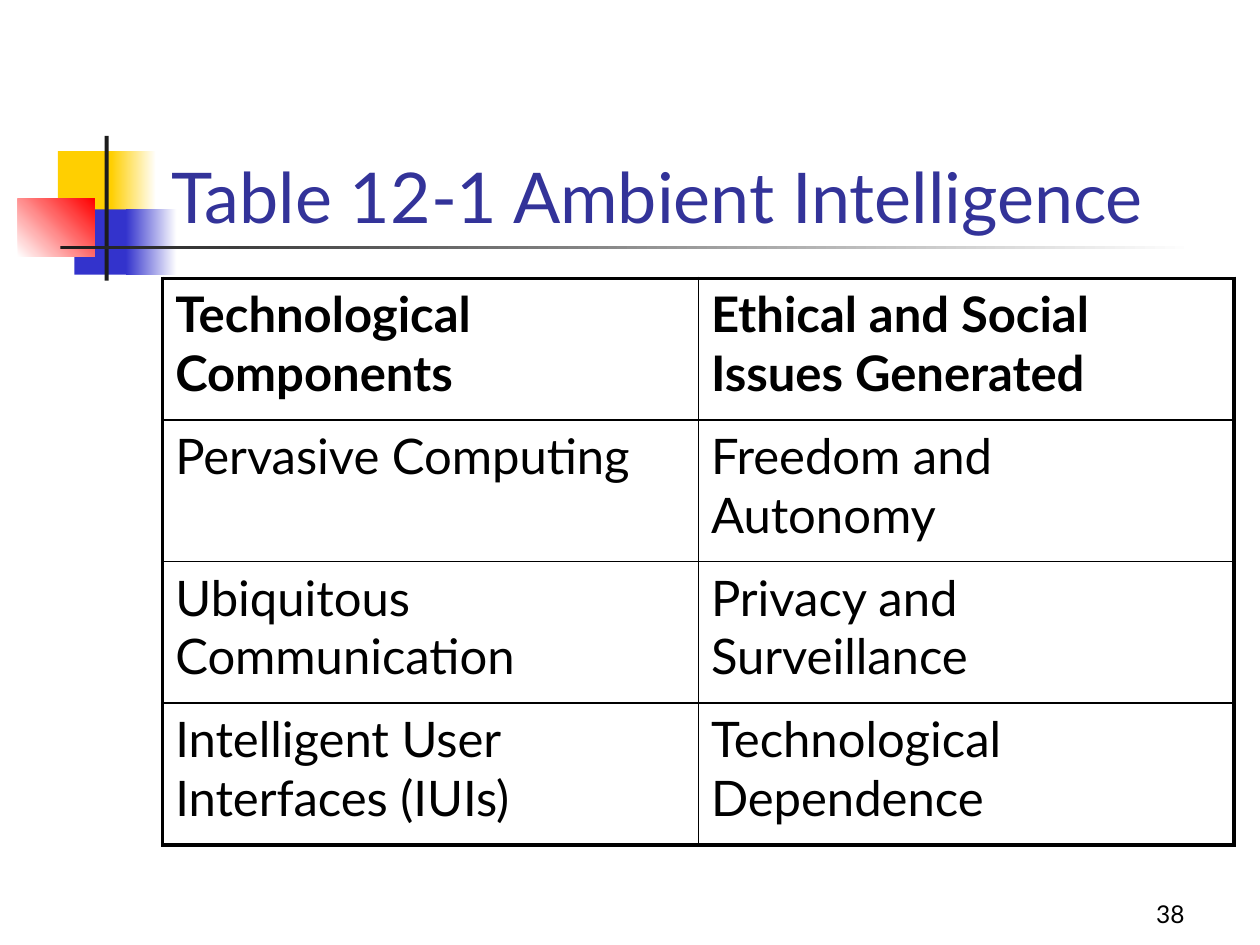
from lxml import etree
from pptx import Presentation
from pptx.dml.color import RGBColor
from pptx.enum.shapes import MSO_SHAPE
from pptx.enum.text import MSO_ANCHOR, PP_ALIGN
from pptx.oxml.ns import qn
from pptx.util import Cm, Pt

RECTANGLE = MSO_SHAPE.RECTANGLE
BOTTOM = MSO_ANCHOR.BOTTOM
LEFT, RIGHT = PP_ALIGN.LEFT, PP_ALIGN.RIGHT
TITLE_ONLY_LAYOUT = 5

WHITE = RGBColor(0xFF, 0xFF, 0xFF)
BLACK = RGBColor(0x00, 0x00, 0x00)
CHARCOAL = RGBColor(0x1C, 0x1C, 0x1C)
YELLOW = RGBColor(0xFF, 0xCF, 0x01)
BLUE = RGBColor(0x33, 0x33, 0xCC)
RED = RGBColor(0xFF, 0x00, 0x00)
TITLE_BLUE = RGBColor(0x33, 0x33, 0x99)

FONT = "Lato"
OUTER_BORDER, INNER_BORDER = Pt(2.25), Pt(1)

ROWS = [
    ("Technological Components", "Ethical and Social Issues Generated"),
    ("Pervasive Computing", "Freedom and Autonomy"),
    ("Ubiquitous Communication", "Privacy and Surveillance"),
    ("Intelligent User Interfaces (IUIs)", "Technological Dependence"),
]


def write_text(text_frame, text, size, color=BLACK, bold=False, align=LEFT):
    text_frame.word_wrap = True
    paragraph = text_frame.paragraphs[0]
    paragraph.alignment = align
    run = paragraph.add_run()
    run.text = text
    run.font.name = FONT
    run.font.size = Pt(size)
    run.font.bold = bold
    run.font.color.rgb = color


def add_block(slide, left, top, width, height, start, end=None, angle=0):
    """Add a borderless rectangle, solid or fading from start to end."""
    shape = slide.shapes.add_shape(RECTANGLE, left, top, width, height)
    shape.shadow.inherit = False
    shape.line.fill.background()
    if end is None:
        shape.fill.solid()
        shape.fill.fore_color.rgb = start
        return
    shape.fill.gradient()
    shape.fill.gradient_angle = angle
    for stop, color in zip(shape.fill.gradient_stops, (start, end)):
        stop.color.rgb = color


def add_ornament(slide, left, top):
    # Offsets and sizes in centimetres, then colours and gradient angle
    blocks = [
        (0.81, 0.31, 1.22, 1.32, YELLOW),
        (1.88, 0.31, 0.91, 1.32, YELLOW, WHITE),
        (1.14, 1.48, 1.17, 1.32, BLUE),
        (2.18, 1.48, 1.02, 1.32, BLUE, WHITE),
        (0, 1.27, 1.55, 1.17, WHITE, RED, 45),
        (1.75, 0, 0.08, 2.92, CHARCOAL),
        (0.86, 2.21, 22.86, 0.08, CHARCOAL, WHITE),
    ]
    for x, y, width, height, *colors in blocks:
        add_block(slide, left + Cm(x), top + Cm(y), Cm(width), Cm(height), *colors)


def add_title(slide, left, top, width, height):
    title = slide.shapes.title
    title.left, title.top, title.width, title.height = left, top, width, height
    title.text_frame.vertical_anchor = BOTTOM
    write_text(title.text_frame, "Table 12-1 Ambient Intelligence", 40, TITLE_BLUE)


def set_borders(cell, widths):
    """Draw black borders; widths maps a side letter to a line width."""
    properties = cell._tc.get_or_add_tcPr()
    for index, (side, width) in enumerate(widths.items()):
        line = etree.Element(qn(f"a:ln{side}"), w=str(width))
        fill = etree.SubElement(line, qn("a:solidFill"))
        etree.SubElement(fill, qn("a:srgbClr"), val=str(BLACK))
        properties.insert(index, line)


def add_issue_table(slide, left, top, width, height):
    row_count, column_count = len(ROWS), len(ROWS[0])
    table = slide.shapes.add_table(
        row_count, column_count, left, top, width, height
    ).table
    table.first_row = table.horz_banding = False
    for r, texts in enumerate(ROWS):
        for c, text in enumerate(texts):
            cell = table.cell(r, c)
            cell.fill.background()
            write_text(cell.text_frame, text, 28, bold=r == 0)
            on_edge = {
                "L": c == 0,
                "R": c == column_count - 1,
                "T": r == 0,
                "B": r == row_count - 1,
            }
            set_borders(cell, {
                side: OUTER_BORDER if outer else INNER_BORDER
                for side, outer in on_edge.items()
            })


def add_page_number(slide, left, top, width, height):
    box = slide.shapes.add_textbox(left, top, width, height)
    box.text_frame.vertical_anchor = BOTTOM
    write_text(box.text_frame, "38", 14, align=RIGHT)


def main():
    presentation = Presentation()
    presentation.slide_width, presentation.slide_height = Cm(25.4), Cm(19.05)
    layout = presentation.slide_layouts[TITLE_ONLY_LAYOUT]
    slide = presentation.slides.add_slide(layout)

    add_ornament(slide, Cm(0.36), Cm(2.74))
    add_title(slide, Cm(3.2), Cm(1.73), Cm(21.64), Cm(3.18))
    add_issue_table(slide, Cm(3.28), Cm(5.61), Cm(21.6), Cm(11.42))
    add_page_number(slide, Cm(18.85), Cm(17.58), Cm(5.28), Cm(1.27))

    presentation.save("out.pptx")


if __name__ == "__main__":
    main()
